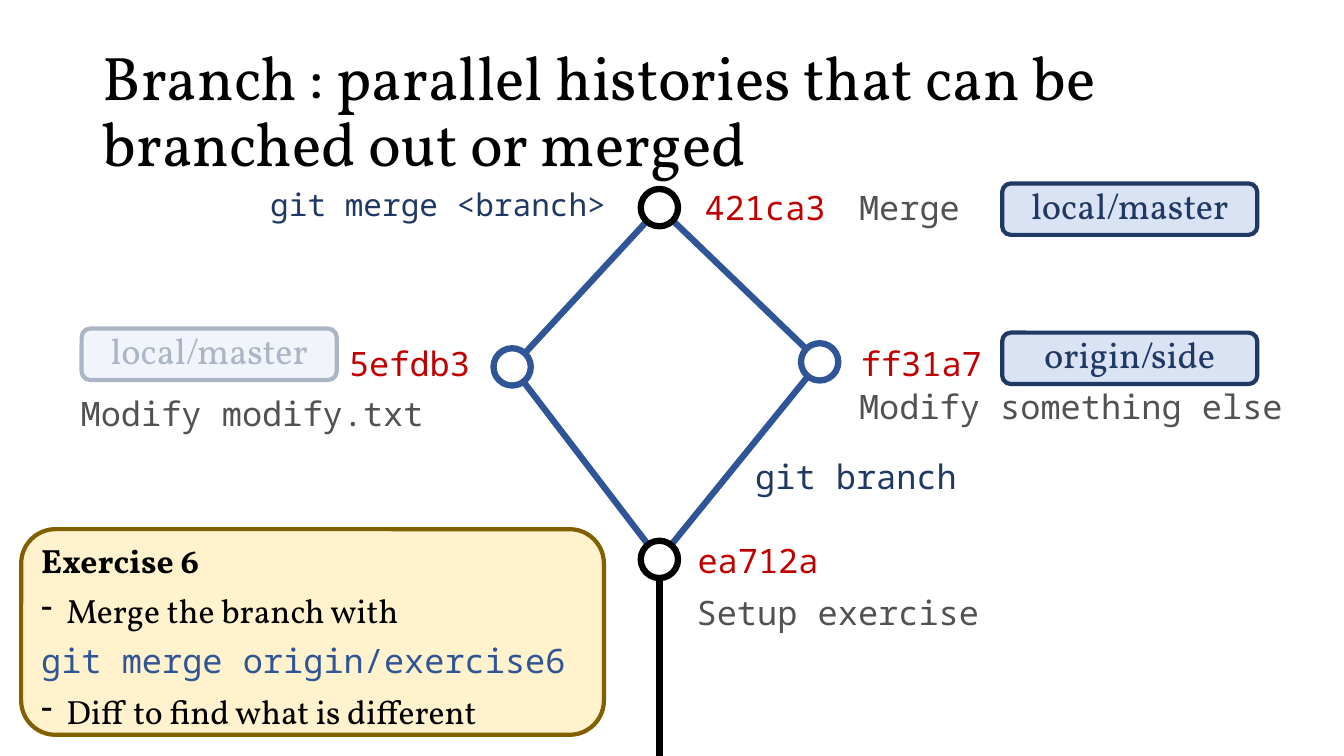
import math

from lxml import etree
from pptx import Presentation
from pptx.dml.color import RGBColor
from pptx.enum import shapes, text
from pptx.oxml import ns
from pptx.util import Inches, Pt

COLORS = {"black": "000000", "white": "FFFFFF", "blue": "2F5597", "navy": "203864",
          "pale": "DAE3F3", "red": "C00000", "gray": "525252",
          "cream": "FFF2CC", "brown": "806000"}
SERIF, MONO = "Vollkorn", "Noto Sans Mono"
LEFT, CENTER, RIGHT = text.PP_ALIGN.LEFT, text.PP_ALIGN.CENTER, text.PP_ALIGN.RIGHT
RADIUS = 0.185


def rgb(name):
    return RGBColor.from_string(COLORS[name])


def style_paragraph(p, wording, size, font, color, align=LEFT, spacing=0.9, before=10, bold=False):
    p.text = wording
    p.alignment, p.line_spacing, p.space_before = align, spacing, Pt(before)
    f = p.runs[0].font
    f.size, f.name, f.bold = Pt(size), font, bold
    f.color.rgb = rgb(color)


def add_text(s, box, wording, size, font, color, align=LEFT, inset=(0.1, 0.05),
             anchor=text.MSO_ANCHOR.TOP, before=10):
    tf = s.shapes.add_textbox(*map(Inches, box)).text_frame
    tf.word_wrap = True
    tf.margin_left = tf.margin_right = Inches(inset[0])
    tf.margin_top = tf.margin_bottom = Inches(inset[1])
    tf.vertical_anchor = anchor
    style_paragraph(tf.paragraphs[0], wording, size, font, color, align, before=before)


def add_shape(s, kind, box, fill=None, line=None, width=3):
    sp = s.shapes.add_shape(kind, *map(Inches, box))
    sp.shadow.inherit = False
    if fill:
        sp.fill.solid()
        sp.fill.fore_color.rgb = rgb(fill)
    else:
        sp.fill.background()
    if line:
        sp.line.color.rgb = rgb(line)
        sp.line.width = Pt(width)
    else:
        sp.line.fill.background()
    return sp


def add_line(s, start, end, color):
    c = s.shapes.add_connector(shapes.MSO_CONNECTOR.STRAIGHT, *map(Inches, (*start, *end)))
    c.line.color.rgb = rgb(color)
    c.line.width = Pt(4.5)
    etree.SubElement(c._element.spPr, ns.qn("a:effectLst"))


def add_edge(s, a, b):
    """Join two commit centres, stopping at the rims of their circles."""
    k = RADIUS / math.dist(a, b)
    dx, dy = (b[0] - a[0]) * k, (b[1] - a[1]) * k
    add_line(s, (a[0] + dx, a[1] + dy), (b[0] - dx, b[1] - dy), "blue")


def add_commit(s, center, color, hash_at, sha, message_at, message, align=LEFT):
    x, y = center
    add_shape(s, shapes.MSO_SHAPE.OVAL, (x - RADIUS, y - RADIUS, 2 * RADIUS, 2 * RADIUS),
              line=color, width=4.5)
    add_text(s, (*hash_at, 1.47, 0.51), sha, 24, MONO, "red", align)
    add_text(s, (*message_at, 4.67, 0.51), message, 24, MONO, "gray", inset=(0, 0.05))


def add_ref(s, left, top, name, faded=False):
    sp = add_shape(s, shapes.MSO_SHAPE.ROUNDED_RECTANGLE, (left, top, 2.53, 0.51), "pale", "navy")
    tf = sp.text_frame
    tf.vertical_anchor = text.MSO_ANCHOR.MIDDLE
    style_paragraph(tf.paragraphs[0], name, 25.9, SERIF, "navy", CENTER, 0.8)
    if faded:
        veil = add_shape(s, shapes.MSO_SHAPE.RECTANGLE,
                         (left - 0.15, top - 0.68, 2.83, 1.28), "white")
        color = veil._element.spPr.find(".//" + ns.qn("a:srgbClr"))
        etree.SubElement(color, ns.qn("a:alpha"), val="63000")


def add_history(s):
    merge, master, side, setup = (6.54, 2.06), (5.08, 3.64), (8.13, 3.59), (6.54, 5.55)
    for a, b in ((merge, master), (merge, side), (master, setup), (side, setup)):
        add_edge(s, a, b)
    add_line(s, (setup[0], setup[1] + RADIUS), (setup[0], 7.5), "black")

    add_commit(s, merge, "black", (6.89, 1.85), "421ca3", (8.52, 1.85), "Merge")
    add_commit(s, master, "blue", (3.29, 3.4), "5efdb3", (0.8, 3.89), "Modify modify.txt", RIGHT)
    add_commit(s, side, "blue", (8.44, 3.4), "ff31a7", (8.52, 3.82), "Modify something else")
    add_commit(s, setup, "black", (6.82, 5.35), "ea712a", (6.91, 5.87), "Setup exercise")

    add_ref(s, 9.94, 1.82, "local/master")
    add_ref(s, 9.94, 3.3, "origin/side")
    add_ref(s, 0.81, 3.26, "local/master", faded=True)

    add_text(s, (2.6, 1.88, 3.49, 0.51), "git merge <branch>", 22.2, MONO, "navy", CENTER, (0, 0))
    add_text(s, (7.39, 4.57, 2.2, 0.51), "git branch", 24, MONO, "navy", CENTER, (0, 0))


def add_exercise(s, box):
    sp = add_shape(s, shapes.MSO_SHAPE.ROUNDED_RECTANGLE, box, "cream", "brown")
    tf = sp.text_frame
    tf.vertical_anchor = text.MSO_ANCHOR.TOP
    rows = [("Exercise 6", SERIF, "black", True, False),
            ("Merge the branch with", SERIF, "black", False, True),
            ("git merge origin/exercise6", MONO, "blue", False, False),
            ("Diff to find what is different", SERIF, "black", False, True)]
    for i, (wording, font, color, bold, bullet) in enumerate(rows):
        p = tf.paragraphs[0] if i == 0 else tf.add_paragraph()
        style_paragraph(p, wording, 24, font, color, bold=bold)
        if bullet:
            pPr = p._p.get_or_add_pPr()
            pPr.set("marL", str(Inches(0.25)))
            pPr.set("indent", str(-Inches(0.25)))
            etree.SubElement(pPr, ns.qn("a:buChar"), char="-")


def main():
    prs = Presentation()
    prs.slide_width, prs.slide_height = Inches(13.33), Inches(7.5)
    s = prs.slides.add_slide(prs.slide_layouts[6])
    add_text(s, (0.92, 0.4, 11.5, 1.45),
             "Branch : parallel histories that can be branched out or merged",
             44, SERIF, "black", anchor=text.MSO_ANCHOR.MIDDLE, before=0)
    add_history(s)
    add_exercise(s, (0.21, 5.25, 5.78, 2.04))
    prs.save("out.pptx")


if __name__ == "__main__":
    main()
